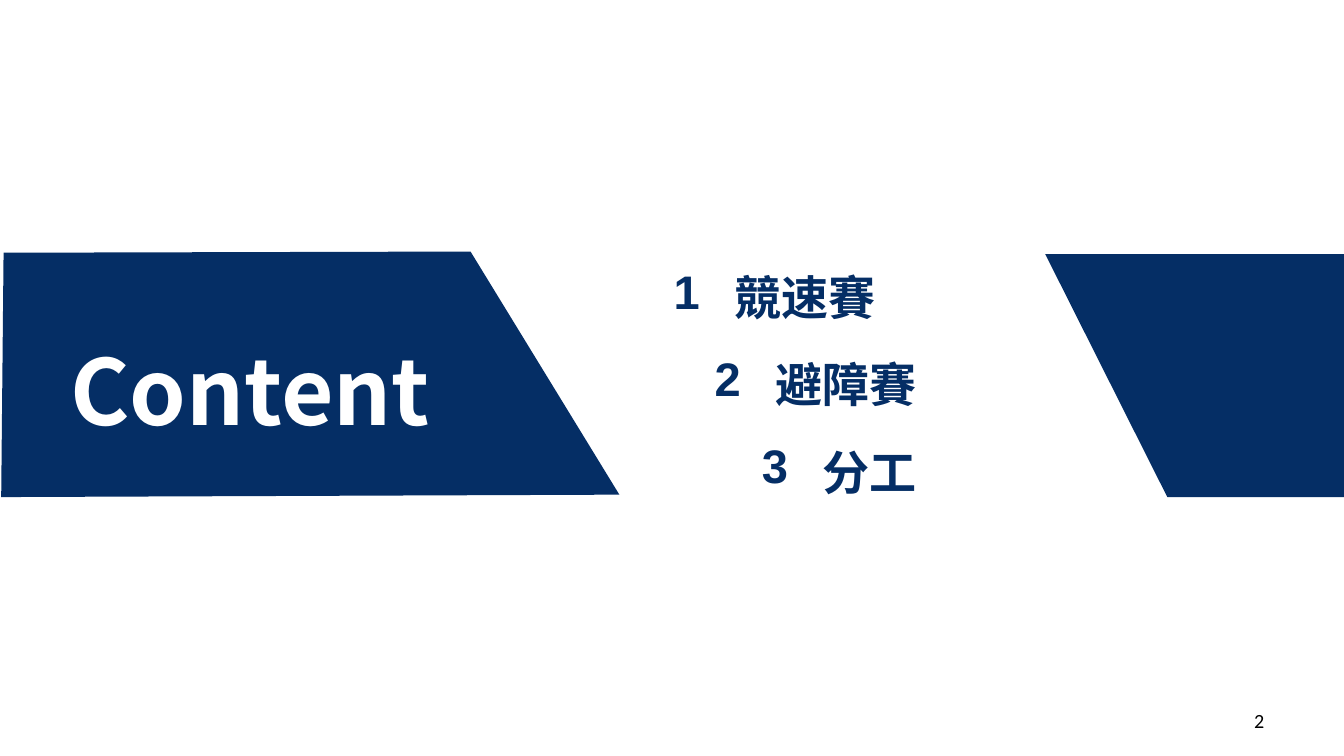
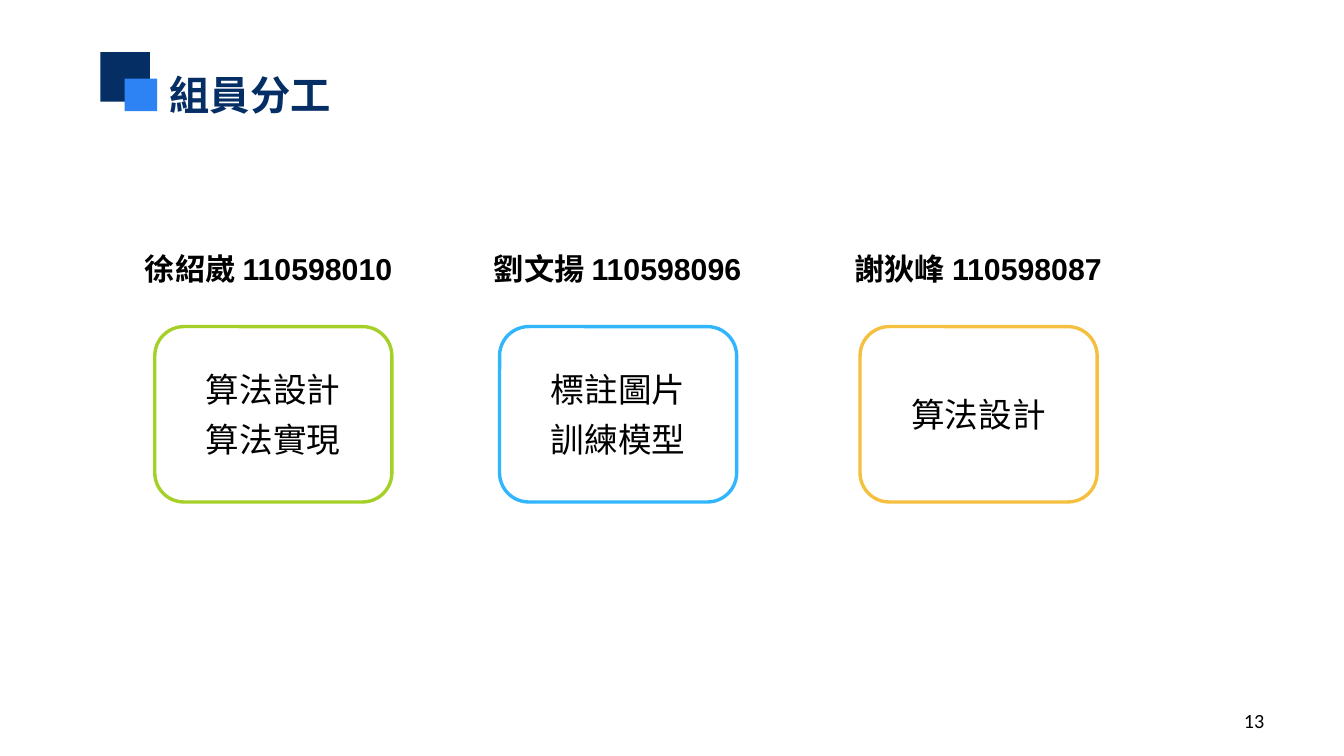
import pptx
import pptx.util
import pptx.dml.color
import pptx.enum.shapes
import pptx.enum.text
import pptx.oxml.ns
import lxml.etree

EMU_PER_PX = 9144  # 100 px to the inch
PAGE_WIDTH, PAGE_HEIGHT = 1111, 625
COLOURS = {
    "navy": "052E65", "blue": "2D83F4", "white": "FFFFFF", "black": "000000",
    "green": "A5D028", "sky": "31B6FD", "amber": "F5C040",
}
CJK_FONT = "Noto Sans CJK SC"
ALIGN = pptx.enum.text.PP_ALIGN
ANCHOR = pptx.enum.text.MSO_ANCHOR
AUTO_SIZE = pptx.enum.text.MSO_AUTO_SIZE
SHAPE = pptx.enum.shapes.MSO_SHAPE
TITLE_ONLY = 5


def px(length):
    return pptx.util.Emu(length * EMU_PER_PX)


def rgb(name):
    return pptx.dml.color.RGBColor.from_string(COLOURS[name])


def write_text(shape, text, size=28, font=CJK_FONT, colour="navy", bold=True,
               align=ALIGN.LEFT, anchor=ANCHOR.TOP, wrap=True, grow=False,
               line_spacing=None, space_before=0):
    """Fill a shape with one paragraph for each line of text."""
    frame = shape.text_frame
    frame.word_wrap = wrap
    frame.auto_size = AUTO_SIZE.SHAPE_TO_FIT_TEXT if grow else AUTO_SIZE.NONE
    frame.vertical_anchor = anchor
    for index, line in enumerate(text.split("\n")):
        para = frame.add_paragraph() if index else frame.paragraphs[0]
        para.alignment = align
        para.space_before = pptx.util.Pt(space_before)
        para.line_spacing = line_spacing
        span = para.add_run()
        span.text = line
        span.font.size = pptx.util.Pt(size)
        span.font.name = font
        span.font.bold = bold
        span.font.color.rgb = rgb(colour)
        # East Asian letters take their own font
        east_asian = lxml.etree.SubElement(span.font._element, pptx.oxml.ns.qn("a:ea"))
        east_asian.set("typeface", CJK_FONT)


def add_text(page, box, text, **text_format):
    shape = page.shapes.add_textbox(*map(px, box))
    write_text(shape, text, **text_format)


def place_title(page, box, text, **text_format):
    """Set the title and bring it in front of the shapes drawn so far."""
    title = page.shapes.title
    title.left, title.top, title.width, title.height = map(px, box)
    write_text(title, text, grow=True, **text_format)
    page.shapes.element.append(title.element)


def paint(shape, fill, line=None):
    shape.shadow.inherit = False
    shape.fill.solid()
    shape.fill.fore_color.rgb = rgb(fill)
    if line:
        shape.line.color.rgb = rgb(line)
        shape.line.width = pptx.util.Pt(2)
    else:
        shape.line.fill.background()


def add_shape(page, kind, box, fill, line=None):
    shape = page.shapes.add_shape(kind, *map(px, box))
    paint(shape, fill, line)
    return shape


def add_band(page, points):
    corners = [(px(x), px(y)) for x, y in points]
    builder = page.shapes.build_freeform(*corners[0], scale=1.0)
    builder.add_line_segments(corners[1:], close=True)
    paint(builder.convert_to_shape(), "navy")


def add_page_number(page, number):
    add_text(page, (796, 579, 259, 33), str(number), size=12, font="Calibri",
             colour="black", bold=False, align=ALIGN.RIGHT, anchor=ANCHOR.MIDDLE)


def add_entry(page, left, top, number, text, width):
    """One line of the contents: a number and a heading beside it."""
    add_text(page, (left, top + 4, 33, 50), number, font="Arial", wrap=False)
    add_text(page, (left + 50, top, width, 67), text, grow=True, line_spacing=1.2)


def build_contents(page):
    # Slanted bands at both sides
    add_band(page, [(864, 210), (PAGE_WIDTH, 210), (PAGE_WIDTH, 411), (965, 411)])
    add_band(page, [(3, 209), (389, 208), (512, 409), (1, 411)])
    place_title(page, (48, 254, 518, 110), "Content", size=54, colour="white",
                line_spacing=1.2)
    # Entries step along the slant
    entries = [(547, 208, "競速賽", 213), (581, 280, "避障賽", 182), (620, 352, "分工", 182)]
    for number, (left, top, text, width) in enumerate(entries, 1):
        add_entry(page, left, top, str(number), text, width)
    add_page_number(page, 2)


def add_heading(page, left, top, text):
    """Two overlapping squares and the title."""
    add_shape(page, SHAPE.RECTANGLE, (left, top, 41, 41), "navy")
    add_shape(page, SHAPE.RECTANGLE, (left + 20, top + 22, 27, 27), "blue")
    place_title(page, (left + 47, top + 10, 535, 50), text, size=24)


def add_member(page, left, top, name, tasks, colour):
    """A member's name above a card of tasks."""
    centred = dict(colour="black", align=ALIGN.CENTER, space_before=6)
    add_text(page, (left, top, 285, 40), name, size=18, font="Arial", grow=True, **centred)
    card = add_shape(page, SHAPE.ROUNDED_RECTANGLE, (left + 45, top + 68, 196, 145),
                     "white", colour)
    write_text(card, tasks, size=20, font="Calibri", bold=False,
               anchor=ANCHOR.MIDDLE, **centred)


def build_members(page):
    add_heading(page, 83, 43, "組員分工")
    members = [
        (83, "徐紹崴 110598010 ", "算法設計\n算法實現", "green"),
        (368, "劉文揚 110598096", "標註圖片\n訓練模型", "sky"),
        (666, "謝狄峰 110598087", "算法設計", "amber"),
    ]
    for left, name, tasks, colour in members:
        add_member(page, left, 202, name, tasks, colour)
    add_page_number(page, 13)


def main():
    deck = pptx.Presentation()
    deck.slide_width, deck.slide_height = px(PAGE_WIDTH), px(PAGE_HEIGHT)
    for build in (build_contents, build_members):
        build(deck.slides.add_slide(deck.slide_layouts[TITLE_ONLY]))
    deck.save("out.pptx")


if __name__ == "__main__":
    main()
